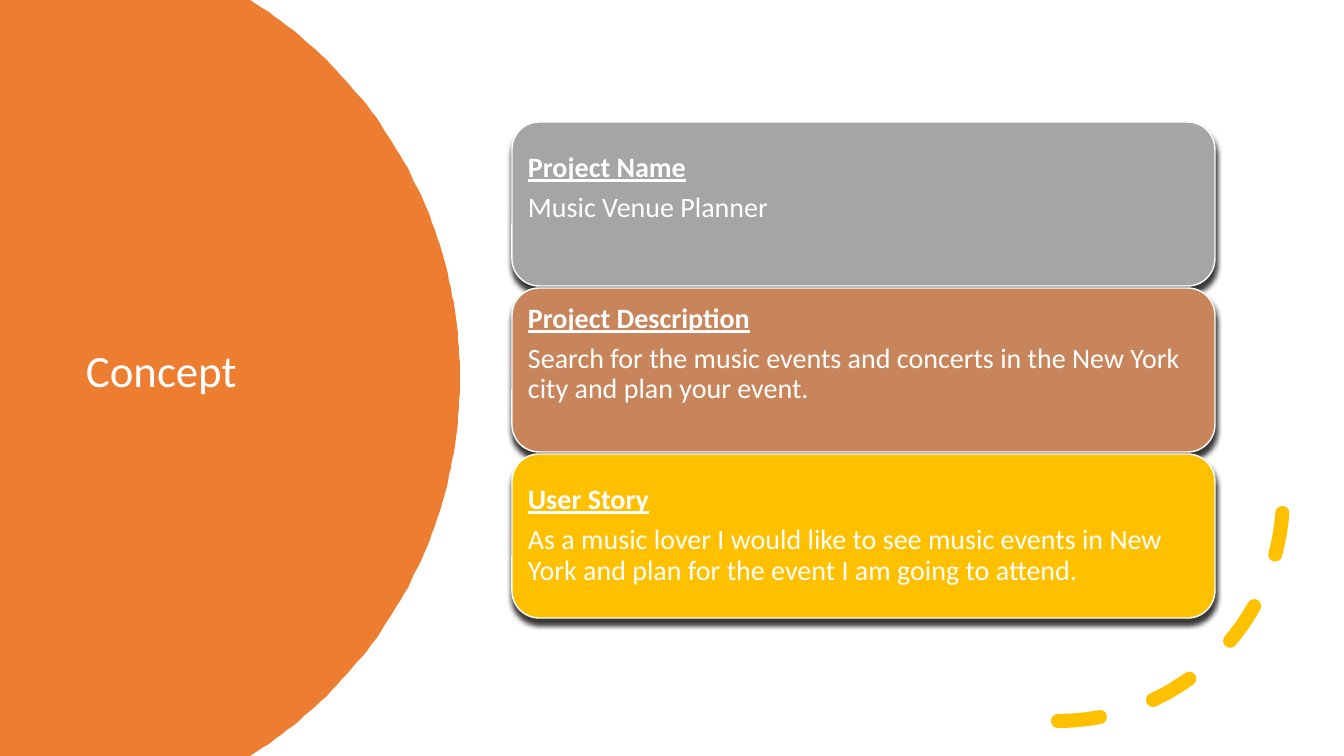
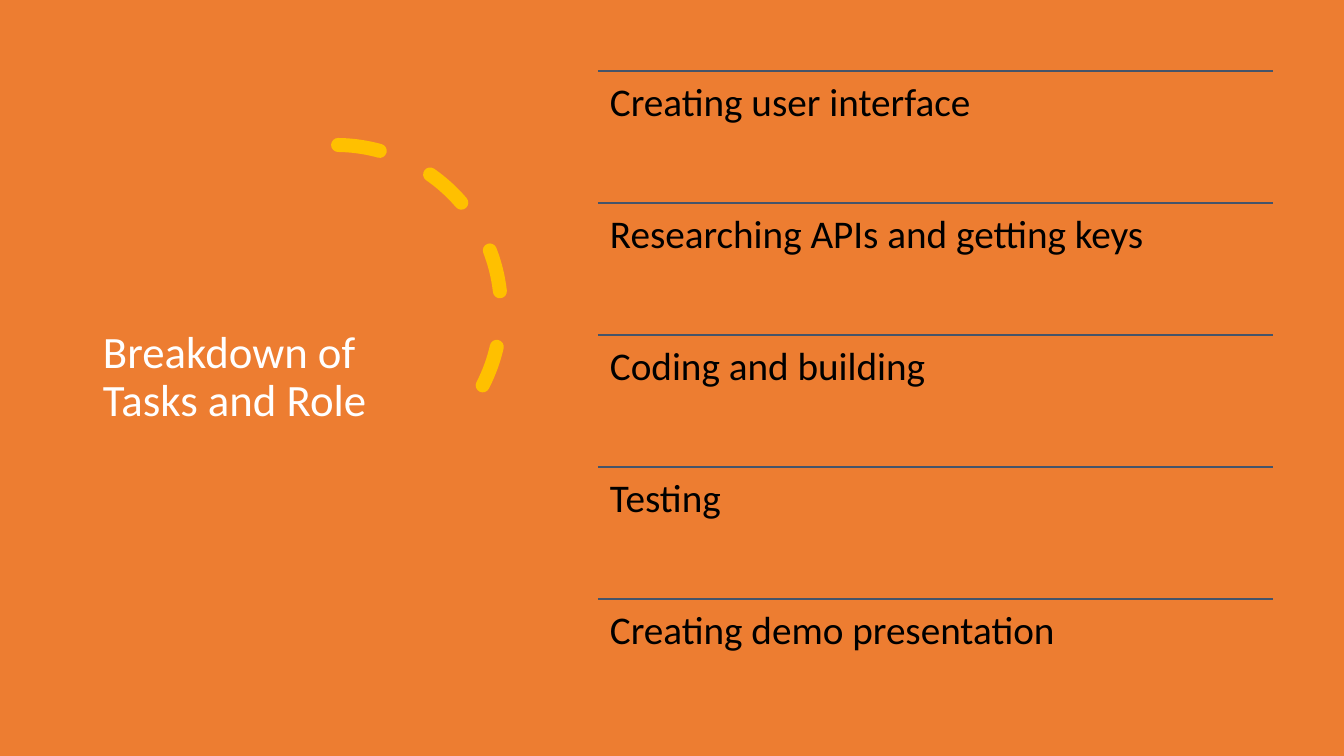
"""Build the concept slide and the task breakdown slide of a music venue planner."""
from math import asin, cos, sin

from lxml.etree import SubElement
from pptx import Presentation
from pptx.dml.color import RGBColor
from pptx.enum.dml import MSO_LINE
from pptx.enum.shapes import MSO_CONNECTOR, MSO_SHAPE
from pptx.enum.text import MSO_ANCHOR, PP_ALIGN
from pptx.oxml.ns import qn
from pptx.util import Pt

CONCEPT_TITLE = "Concept"
CARDS = [
    ("Project Name", "Music Venue Planner", "grey", 31),
    ("Project Description",
     "Search for the music events and concerts in the New York city and plan your event.",
     "clay", 31),
    ("User Story",
     "As a music lover I would like to see music events in New York and plan for the event "
     "I am going to attend.", "gold", 0),
]
TASKS_TITLE = "Breakdown of Tasks and Role"
TASKS = [
    "Creating user interface",
    "Researching APIs and getting keys",
    "Coding and building",
    "Testing",
    "Creating demo presentation",
]

THEME = {
    "font": "Calibri",
    "colors": {"orange": "ED7D31", "gold": "FFC000", "grey": "A5A5A5", "clay": "C8855C",
               "white": "FFFFFF", "black": "000000", "slate": "44546A", "shade": "3B3838"},
    "text": {
        "title": {"size": Pt(32), "color": "white"},
        "heading": {"size": Pt(20), "color": "white", "bold": True, "underline": True},
        "body": {"size": Pt(20), "color": "white"},
        "task": {"size": Pt(28), "color": "black"},
    },
    "paragraph": {"line_spacing": 0.9, "space_after": Pt(7), "alignment": PP_ALIGN.LEFT},
}
WIDTH, HEIGHT = 1344, 756
SCALE = 12192000 / WIDTH


def px(*lengths):
    return [round(length * SCALE) for length in lengths]


def color(name):
    return RGBColor.from_string(THEME["colors"][name])


def set_all(target, values):
    for name, value in values.items():
        setattr(target, name, value)


def write(shape, lines, insets, anchor):
    frame = shape.text_frame
    sides = ("margin_left", "margin_top", "margin_right", "margin_bottom")
    set_all(frame, dict(zip(sides, px(*insets)), word_wrap=True, vertical_anchor=anchor))
    for index, (text, style) in enumerate(lines):
        para = frame.add_paragraph() if index else frame.paragraphs[0]
        set_all(para, THEME["paragraph"])
        span = para.add_run()
        span.text = text
        values = dict(THEME["text"][style], name=THEME["font"])
        span.font.color.rgb = color(values.pop("color"))
        set_all(span.font, values)


def paint(shape, fill=None, line=None, width=1):
    shape.shadow.inherit = False
    for part, name in ((shape.fill, fill), (shape.line.fill, line)):
        if name:
            part.solid()
            part.fore_color.rgb = color(name)
        else:
            part.background()
    if line:
        shape.line.width = Pt(width)


def add_title(page, text, place):
    box = page.shapes.add_textbox(*px(*place))
    write(box, [(text, "title")], (10, 5, 10, 5), MSO_ANCHOR.MIDDLE)


def add_dashed_arc(page, place):
    arc = page.shapes.add_shape(MSO_SHAPE.ARC, *px(*place))
    paint(arc, line="gold", width=10)
    arc.line.dash_style = MSO_LINE.DASH
    arc._element.spPr.find(qn("a:ln")).set("cap", "rnd")
    return arc


def add_round_panel(page, center_x, radius, steps=120):
    center_y = HEIGHT / 2
    limit = asin(center_y / radius)
    angles = [limit * (2 * step / steps - 1) for step in range(steps + 1)]
    edge = [(center_x + radius * cos(angle), center_y + radius * sin(angle)) for angle in angles]
    builder = page.shapes.build_freeform(0, 0, scale=SCALE)
    builder.add_line_segments(edge + [(0, HEIGHT)], close=True)
    paint(builder.convert_to_shape(), fill="orange")


def add_shadow(shape):
    effects = shape._element.spPr.find(qn("a:effectLst"))
    shadow = SubElement(effects, qn("a:outerShdw"), blurRad=str(Pt(4)), dist=str(Pt(4)),
                        dir="5400000", algn="ctr", rotWithShape="0")
    SubElement(shadow, qn("a:srgbClr"), val=THEME["colors"]["shade"])


def add_card(page, top, heading, body, fill, lift):
    card = page.shapes.add_shape(MSO_SHAPE.ROUNDED_RECTANGLE, *px(512, top, 703, 164))
    paint(card, fill=fill, line="white")
    add_shadow(card)
    write(card, [(heading, "heading"), (body, "body")], (8, 8, 8, 8 + lift), MSO_ANCHOR.MIDDLE)


def add_task(page, top, text, left=598, width=675, height=132):
    rule = page.shapes.add_connector(MSO_CONNECTOR.STRAIGHT, *px(left, top, left + width, top))
    rule.line.color.rgb = color("slate")
    rule.line.width = Pt(1)
    SubElement(rule._element.spPr, qn("a:effectLst"))
    box = page.shapes.add_textbox(*px(left, top, width, height))
    write(box, [(text, "task")], (12, 12, 12, 12), MSO_ANCHOR.TOP)


def build_concept(page):
    add_round_panel(page, center_x=15, radius=445)
    add_title(page, CONCEPT_TITLE, (76, 127, 353, 492))
    arc = add_dashed_arc(page, (833, 271, 450, 450))
    arc._element.spPr.find(qn("a:xfrm")).set("flipV", "1")
    for index, card in enumerate(CARDS):
        add_card(page, 122 + 166 * index, *card)


def build_tasks(page):
    panel = page.shapes.add_shape(MSO_SHAPE.RECTANGLE, *px(0, 0, WIDTH, HEIGHT))
    paint(panel, fill="orange")
    arc = add_dashed_arc(page, (171, 145, 330, 330))
    arc.rotation = 27.2
    arc.adjustments[0] = 146.13
    add_title(page, TASKS_TITLE, (93, 71, 326, 614))
    for index, task in enumerate(TASKS):
        add_task(page, 71 + 132 * index, task)


def main():
    deck = Presentation()
    deck.slide_width, deck.slide_height = px(WIDTH, HEIGHT)
    for build in (build_concept, build_tasks):
        build(deck.slides.add_slide(deck.slide_layouts[6]))
    deck.save("out.pptx")


if __name__ == "__main__":
    main()
